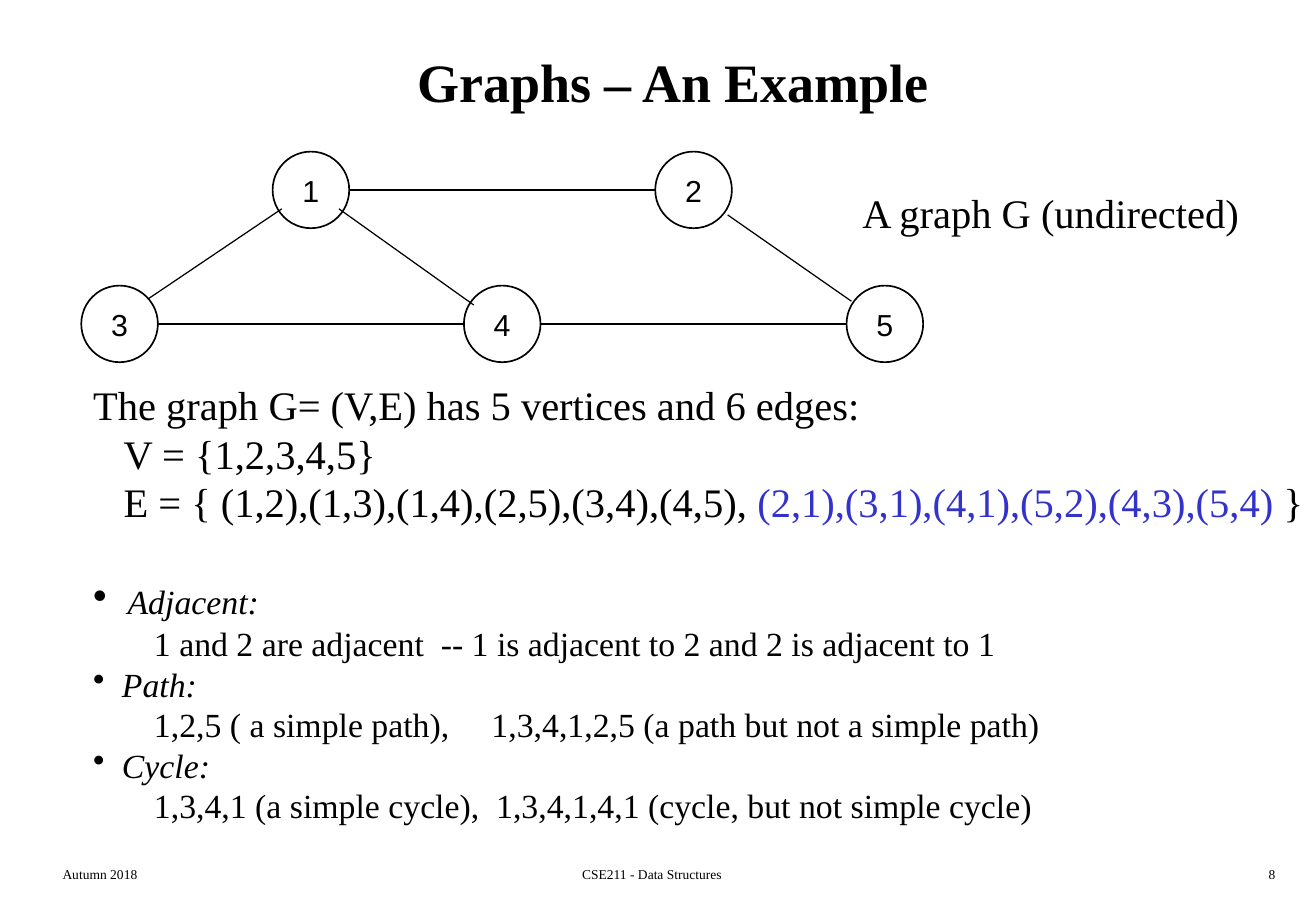
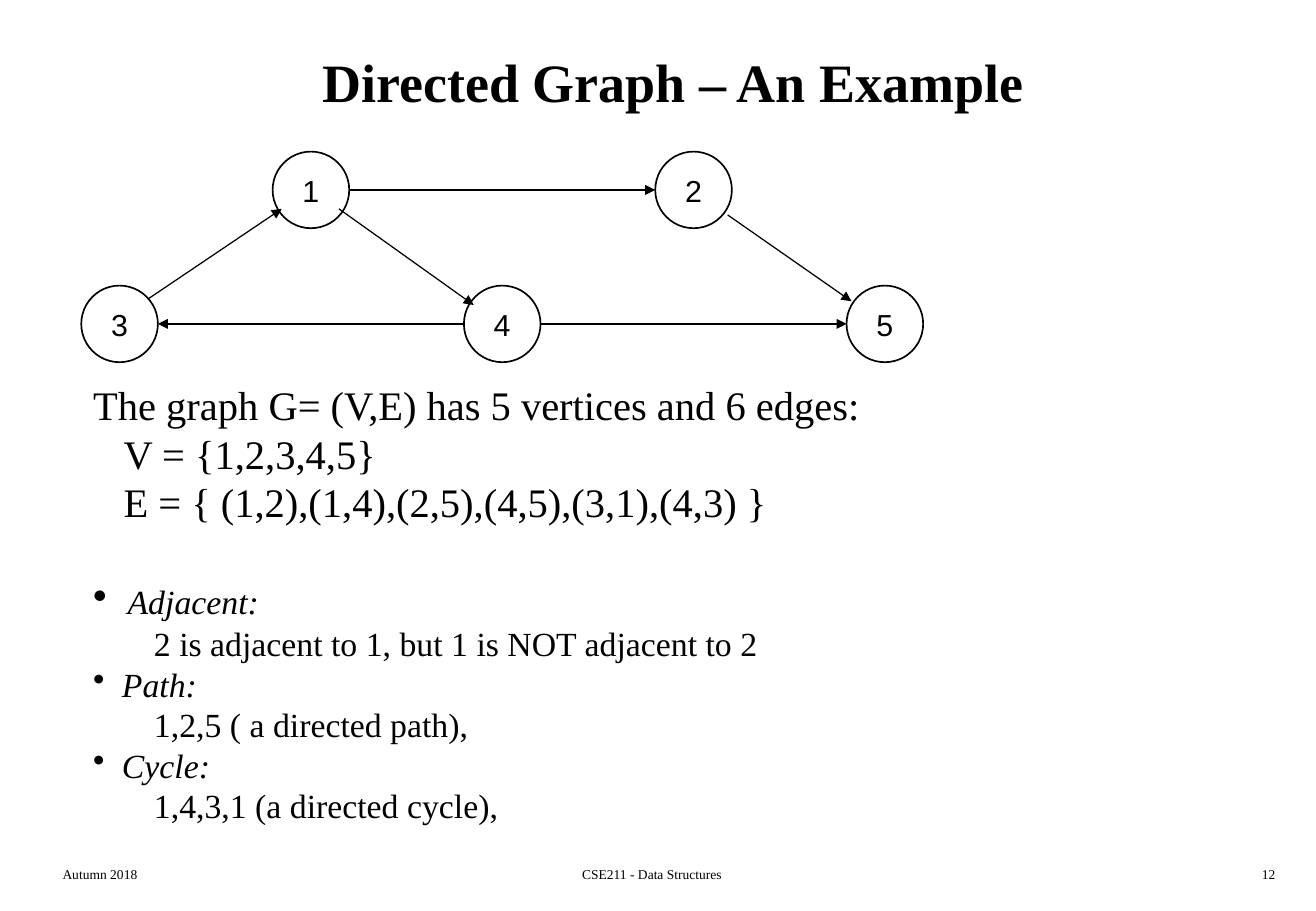
import dataclasses

import pptx
import pptx.dml.color
import pptx.enum.shapes
import pptx.enum.text
import pptx.oxml
import pptx.oxml.ns
import pptx.util

Pt = pptx.util.Pt
ALIGN = pptx.enum.text.PP_ALIGN
ANCHOR = pptx.enum.text.MSO_ANCHOR


@dataclasses.dataclass(frozen=True)
class Theme:
    serif: str = "Times New Roman"
    sans: str = "Arial"
    ink: str = "000000"
    accent: str = "3333CC"
    title: float = 32
    lead: float = 24
    detail: float = 20
    node: float = 18
    footer: float = 8
    leading: float = 1.2
    edge_width: float = 0.75
    node_width: float = 1


THEME = Theme()
DIAMETER = 45.4
RADIUS = DIAMETER / 2
COLUMN_STEP = 113.4
FIRST_CENTRE = 70.9
ROW_CENTRES = (112.6, 192)

# Each vertex has a (column, row) place
VERTICES = {"1": (1, 0), "4": (2, 1), "2": (3, 0), "5": (4, 1), "3": (0, 1)}

# Start, end, and the offsets of the line's ends from the two centres
EDGES = [
    ("1", "4", (16.6, 11.2), (-16.9, -11.2)),
    ("1", "2", (RADIUS, 0), (-RADIUS, 0)),
    ("2", "5", (20.2, 14.8), (-19.8, -13.4)),
    ("4", "3", (-RADIUS, 0), (RADIUS, 0)),
    ("4", "5", (RADIUS, 0), (-RADIUS, 0)),
    ("3", "1", (16.9, -14.8), (-17.3, 11.2)),
]

SLIDES = [
    {
        "title": "Graphs – An Example",
        "number": "8",
        "directed": False,
        "label": "A graph G (undirected)",
        "edge_set": [
            ("E = { (1,2),(1,3),(1,4),(2,5),(3,4),(4,5), ", {}),
            ("(2,1),(3,1),(4,1),(5,2),(4,3),(5,4)", {"color": THEME.accent}),
            (" }", {}),
        ],
        "Adjacent:": "1 and 2 are adjacent  -- 1 is adjacent to 2 and 2 is adjacent to 1",
        "Path:": "1,2,5 ( a simple path),     1,3,4,1,2,5 (a path but not a simple path)",
        "Cycle:": "1,3,4,1 (a simple cycle),  1,3,4,1,4,1 (cycle, but not simple cycle)",
    },
    {
        "title": "Directed Graph – An Example",
        "number": "12",
        "directed": True,
        "label": None,
        "edge_set": [("E = { (1,2),(1,4),(2,5),(4,5),(3,1),(4,3) }", {})],
        "Adjacent:": "2 is adjacent to 1, but 1 is NOT adjacent to 2",
        "Path:": "1,2,5 ( a directed path),",
        "Cycle:": "1,4,3,1 (a directed cycle),",
    },
]


def apply(target, values):
    for name, value in values.items():
        setattr(target, name, value)


def rgb(color):
    return pptx.dml.color.RGBColor.from_string(color)


def add_xml(parent, tag, **attributes):
    parent.append(parent.makeelement(pptx.oxml.ns.qn(tag), attributes))


def centre(vertex):
    column, row = VERTICES[vertex]
    return FIRST_CENTRE + column * COLUMN_STEP, ROW_CENTRES[row]


class GraphDeck:
    def __init__(self, theme):
        self.theme = theme
        self.presentation = pptx.Presentation()
        apply(self.presentation, {"slide_width": Pt(780), "slide_height": Pt(540)})
        self.slide = None

    def add_runs(self, paragraph, runs, size, font=None, **paragraph_format):
        """Fill a paragraph with (text, format) runs."""
        apply(paragraph, paragraph_format)
        for text, changes in runs:
            run = paragraph.add_run()
            run.text = text
            values = {"name": font or self.theme.serif, "size": Pt(size), **changes}
            color = values.pop("color", self.theme.ink)
            apply(run.font, values)
            run.font.color.rgb = rgb(color)

    def text_frame(self, left, top, width, height, **frame_format):
        box = self.slide.shapes.add_textbox(Pt(left), Pt(top), Pt(width), Pt(height))
        apply(box.text_frame, {"word_wrap": True, **frame_format})
        return box.text_frame

    def start_slide(self, title):
        layout = self.presentation.slide_layouts[5]
        self.slide = self.presentation.slides.add_slide(layout)
        shape = self.slide.shapes.title
        apply(shape, {"left": Pt(30), "top": Pt(12), "width": Pt(738), "height": Pt(72)})
        apply(shape.text_frame, {
            "vertical_anchor": ANCHOR.MIDDLE,
            "auto_size": pptx.enum.text.MSO_AUTO_SIZE.NONE,
        })
        self.add_runs(shape.text_frame.paragraphs[0], [(title, {"bold": True})],
                      self.theme.title, alignment=ALIGN.CENTER)

    def footer(self, number):
        for text, left, width, alignment in (
            ("Autumn 2018", 30, 163, ALIGN.LEFT),
            ("CSE211 - Data Structures", 240.5, 292, ALIGN.CENTER),
            (number, 600, 163, ALIGN.RIGHT),
        ):
            frame = self.text_frame(left, 510, width, 18)
            self.add_runs(frame.paragraphs[0], [(text, {})], self.theme.footer,
                          alignment=alignment)

    def edge(self, start, end, start_offset, end_offset, directed):
        ends = [Pt(middle + shift)
                for vertex, offset in ((start, start_offset), (end, end_offset))
                for middle, shift in zip(centre(vertex), offset)]
        connector = self.slide.shapes.add_connector(
            pptx.enum.shapes.MSO_CONNECTOR.STRAIGHT, *ends)
        connector.line.width = Pt(self.theme.edge_width)
        connector.line.color.rgb = rgb(self.theme.ink)
        if directed:
            add_xml(connector.line._get_or_add_ln(), "a:tailEnd", type="triangle")
        add_xml(connector._element.spPr, "a:effectLst")

    def vertex(self, name):
        x, y = centre(name)
        circle = self.slide.shapes.add_shape(
            pptx.enum.shapes.MSO_SHAPE.OVAL,
            Pt(x - RADIUS), Pt(y - RADIUS), Pt(DIAMETER), Pt(DIAMETER))
        circle.shadow.inherit = False
        circle.fill.background()
        circle.line.color.rgb = rgb(self.theme.ink)
        circle.line.width = Pt(self.theme.node_width)
        circle.text_frame.vertical_anchor = ANCHOR.MIDDLE
        self.add_runs(circle.text_frame.paragraphs[0], [(name, {})], self.theme.node,
                      self.theme.sans, alignment=ALIGN.CENTER)

    def graph(self, directed):
        for edge in EDGES:
            self.edge(*edge, directed)
        for name in VERTICES:
            self.vertex(name)

    def label(self, text):
        frame = self.text_frame(504, 108, 239, 36)
        self.line(frame.paragraphs[0], [(text, {})], self.theme.lead)

    def line(self, paragraph, runs, size, indent=0, **spacing):
        self.add_runs(paragraph, runs, size,
                      line_spacing=Pt(size * self.theme.leading), **spacing)
        paragraph._p.get_or_add_pPr().set("marL", str(Pt(indent)))

    def bullet(self, paragraph, hanging, percent):
        properties = paragraph._p.get_or_add_pPr()
        properties.set("marL", str(Pt(hanging)))
        properties.set("indent", str(Pt(-hanging)))
        add_xml(properties, "a:buSzPct", val=str(percent * 1000))
        add_xml(properties, "a:buChar", char="•")

    def description(self, content):
        frame = self.text_frame(48.2, 221.8, 731.8, 270.7, margin_right=0)
        lead, detail = self.theme.lead, self.theme.detail
        self.line(frame.paragraphs[0],
                  [("The graph G= (V,E) has 5 vertices and 6 edges:", {})], lead)
        for runs in ([("V = {1,2,3,4,5}", {})], content["edge_set"]):
            self.line(frame.add_paragraph(), runs, lead, indent=18)
        for term, hanging, percent, before, after in (
            ("Adjacent:", 20.4, 120, 32.7, 0.9),
            ("Path:", 17, 100, 0, 0),
            ("Cycle:", 17, 100, 0, 0),
        ):
            heading = frame.add_paragraph()
            self.line(heading, [(term, {"italic": True})], detail,
                      space_before=Pt(before), space_after=Pt(after))
            self.bullet(heading, hanging, percent)
            self.line(frame.add_paragraph(), [(content[term], {})], detail, indent=36)


def main():
    deck = GraphDeck(THEME)
    for content in SLIDES:
        deck.start_slide(content["title"])
        deck.footer(content["number"])
        deck.graph(content["directed"])
        if content["label"]:
            deck.label(content["label"])
        deck.description(content)
    deck.presentation.save("out.pptx")


if __name__ == "__main__":
    main()
